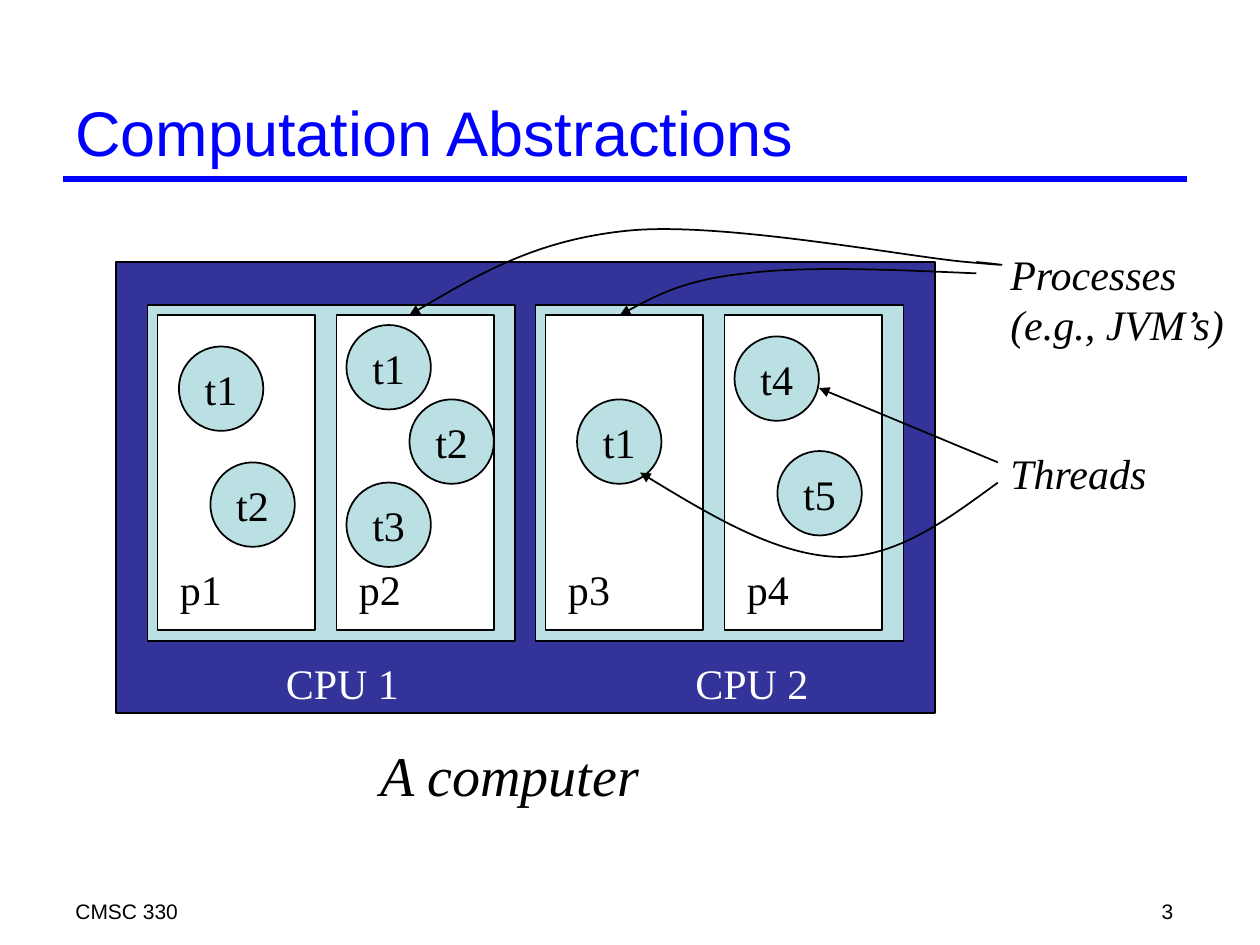
from typing import NamedTuple

from lxml import etree
from pptx import Presentation
from pptx.dml.color import RGBColor
from pptx.enum.shapes import MSO_CONNECTOR, MSO_SHAPE
from pptx.enum.text import MSO_ANCHOR, MSO_AUTO_SIZE, PP_ALIGN
from pptx.oxml.ns import qn
from pptx.util import Inches, Pt

RECT, OVAL = MSO_SHAPE.RECTANGLE, MSO_SHAPE.OVAL
STRAIGHT = MSO_CONNECTOR.STRAIGHT
TOP, MIDDLE = MSO_ANCHOR.TOP, MSO_ANCHOR.MIDDLE
LEFT, CENTER, RIGHT = PP_ALIGN.LEFT, PP_ALIGN.CENTER, PP_ALIGN.RIGHT
FIT = MSO_AUTO_SIZE.SHAPE_TO_FIT_TEXT

BLACK = RGBColor(0x00, 0x00, 0x00)
WHITE = RGBColor(0xFF, 0xFF, 0xFF)
BLUE = RGBColor(0x00, 0x00, 0xFF)
NAVY = RGBColor(0x33, 0x33, 0x99)
PALE = RGBColor(0xBB, 0xE0, 0xE3)

SANS, SERIF = "Arial", "Times New Roman"
THREAD_SIZE = 0.67

Point = tuple[float, float]


class Box(NamedTuple):
    left: float
    top: float
    width: float
    height: float


class Style(NamedTuple):
    font: str = SERIF
    size: int = 24
    color: RGBColor = BLACK
    italic: bool = False
    align: PP_ALIGN = LEFT
    anchor: MSO_ANCHOR = TOP
    wrap: bool = False


class Process(NamedTuple):
    name: str
    left: float
    threads: list[tuple[str, float, float]]


class Label(NamedTuple):
    lines: list[str]
    box: Box
    style: Style


TITLE = Style(SANS, 36, BLUE, anchor=MIDDLE, wrap=True)
FOOTER = Style(SANS, 12, wrap=True)
NAME = Style()
CPU_NAME = Style(color=WHITE)
THREAD = Style(align=CENTER, anchor=MIDDLE)
NOTE = Style(italic=True)

COMPUTER = Box(0.92, 2.08, 6.5, 3.58)
CPUS = [
    ("CPU 1", 1.17, 2.17),
    ("CPU 2", 4.25, 5.42),
]
PROCESSES = [
    Process("p1", 1.25, [("t1", 1.42, 2.75), ("t2", 1.67, 3.67)]),
    Process("p2", 2.67, [("t1", 2.75, 2.58), ("t2", 3.25, 3.17), ("t3", 2.75, 3.83)]),
    Process("p3", 4.33, [("t1", 4.58, 3.17)]),
    Process("p4", 5.75, [("t4", 5.83, 2.67), ("t5", 6.17, 3.58)]),
]
LABELS = [
    Label(["Computation Abstractions"], Box(0.5, 0.67, 8.92, 0.75), TITLE),
    Label(["CMSC 330"], Box(0.5, 7.08, 6.08, 0.25), FOOTER),
    Label(["3"], Box(7.33, 7.08, 2.08, 0.25), FOOTER._replace(align=RIGHT)),
    Label(["A computer"], Box(2.92, 5.83, 2.26, 0.63), NOTE._replace(size=32)),
    Label(["Processes", "(e.g., JVM’s)"], Box(7.92, 1.92, 1.94, 0.9), NOTE),
    Label(["Threads"], Box(7.92, 3.5, 1.29, 0.5), NOTE),
]
# Each curve is a start point, then three points per cubic segment.
CURVES = [
    [(7.92, 3.83), (7.51, 4.13), (7.11, 4.43), (6.64, 4.42),
     (6.16, 4.4), (5.62, 4.08), (5.08, 3.75)],
    [(7.75, 2.17), (7.07, 2.14), (6.39, 2.11), (5.92, 2.17),
     (5.44, 2.22), (5.18, 2.36), (4.92, 2.5)],
    [(7.75, 2.08), (7.94, 2.1), (8.12, 2.12), (7.67, 2.08),
     (7.21, 2.04), (5.74, 1.76), (5, 1.83),
     (4.26, 1.9), (3.76, 2.2), (3.25, 2.5)],
]


def write(tf, lines: list[str], style: Style) -> None:
    tf.word_wrap = style.wrap
    tf.vertical_anchor = style.anchor
    for i, line in enumerate(lines):
        p = tf.add_paragraph() if i else tf.paragraphs[0]
        p.alignment = style.align
        r = p.add_run()
        r.text = line
        r.font.name = style.font
        r.font.size = Pt(style.size)
        r.font.italic = style.italic
        r.font.color.rgb = style.color


def add_label(slide, label: Label) -> None:
    tf = slide.shapes.add_textbox(*map(Inches, label.box)).text_frame
    write(tf, label.lines, label.style)
    if not label.style.wrap:
        tf.auto_size = FIT


def add_block(slide, kind: MSO_SHAPE, box: Box, fill: RGBColor):
    sp = slide.shapes.add_shape(kind, *map(Inches, box))
    sp.shadow.inherit = False
    sp.fill.solid()
    sp.fill.fore_color.rgb = fill
    sp.line.color.rgb = BLACK
    sp.line.width = Pt(1)
    return sp


def add_thread(slide, name: str, left: float, top: float) -> None:
    sp = add_block(slide, OVAL, Box(left, top, THREAD_SIZE, THREAD_SIZE), PALE)
    write(sp.text_frame, [name], THREAD)


def add_line(slide, start: Point, end: Point, color: RGBColor, width: float):
    line = slide.shapes.add_connector(STRAIGHT, *map(Inches, start + end))
    line.line.color.rgb = color
    line.line.width = Pt(width)
    etree.SubElement(line._element.spPr, qn("a:effectLst"))
    return line


def add_arrowhead(sp) -> None:
    ln = sp._element.spPr.find(qn("a:ln"))
    etree.SubElement(ln, qn("a:tailEnd"), type="triangle")


def add_curve(slide, points: list[Point]) -> None:
    """Draw an arrow through cubic segments."""
    builder = slide.shapes.build_freeform(*map(Inches, points[0]), scale=1.0)
    builder.add_line_segments(
        [(Inches(x), Inches(y)) for x, y in points[1:]], close=False)
    sp = builder.convert_to_shape()
    sp.shadow.inherit = False
    sp.fill.background()
    sp.line.color.rgb = BLACK
    sp.line.width = Pt(1)
    add_arrowhead(sp)

    steps = list(sp._element.iter(qn("a:lnTo")))
    outline = steps[0].getparent()
    for i in range(0, len(steps), 3):
        cubic = etree.SubElement(outline, qn("a:cubicBezTo"))
        for step in steps[i:i + 3]:
            cubic.append(step[0])
            outline.remove(step)


def main() -> None:
    prs = Presentation()
    prs.slide_width, prs.slide_height = Inches(10), Inches(7.5)
    slide = prs.slides.add_slide(prs.slide_layouts[6])

    add_line(slide, (0.5, 1.42), (9.42, 1.42), BLUE, 3)
    add_block(slide, RECT, COMPUTER, NAVY)
    for name, left, name_left in CPUS:
        add_block(slide, RECT, Box(left, 2.42, 2.92, 2.67), PALE)
        add_label(slide, Label([name], Box(name_left, 5.17, 1.1, 0.5), CPU_NAME))
    for process in PROCESSES:
        add_block(slide, RECT, Box(process.left, 2.5, 1.25, 2.5), WHITE)
        name_box = Box(process.left + 0.08, 4.42, 0.53, 0.5)
        add_label(slide, Label([process.name], name_box, NAME))
        for thread in process.threads:
            add_thread(slide, *thread)
    for label in LABELS:
        add_label(slide, label)

    add_arrowhead(add_line(slide, (7.92, 3.67), (6.5, 3.08), BLACK, 1))
    for points in CURVES:
        add_curve(slide, points)

    prs.save("out.pptx")


if __name__ == "__main__":
    main()
